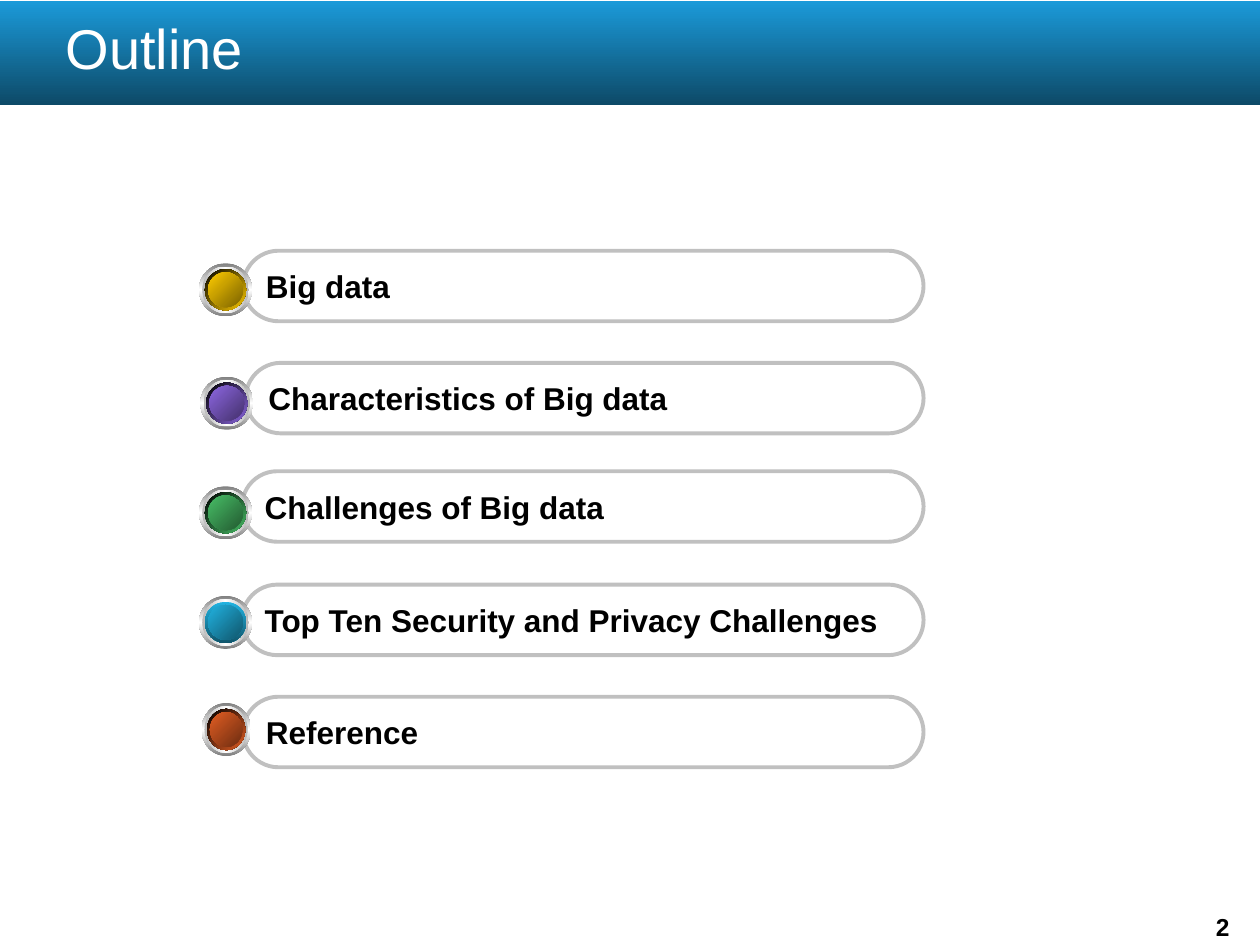
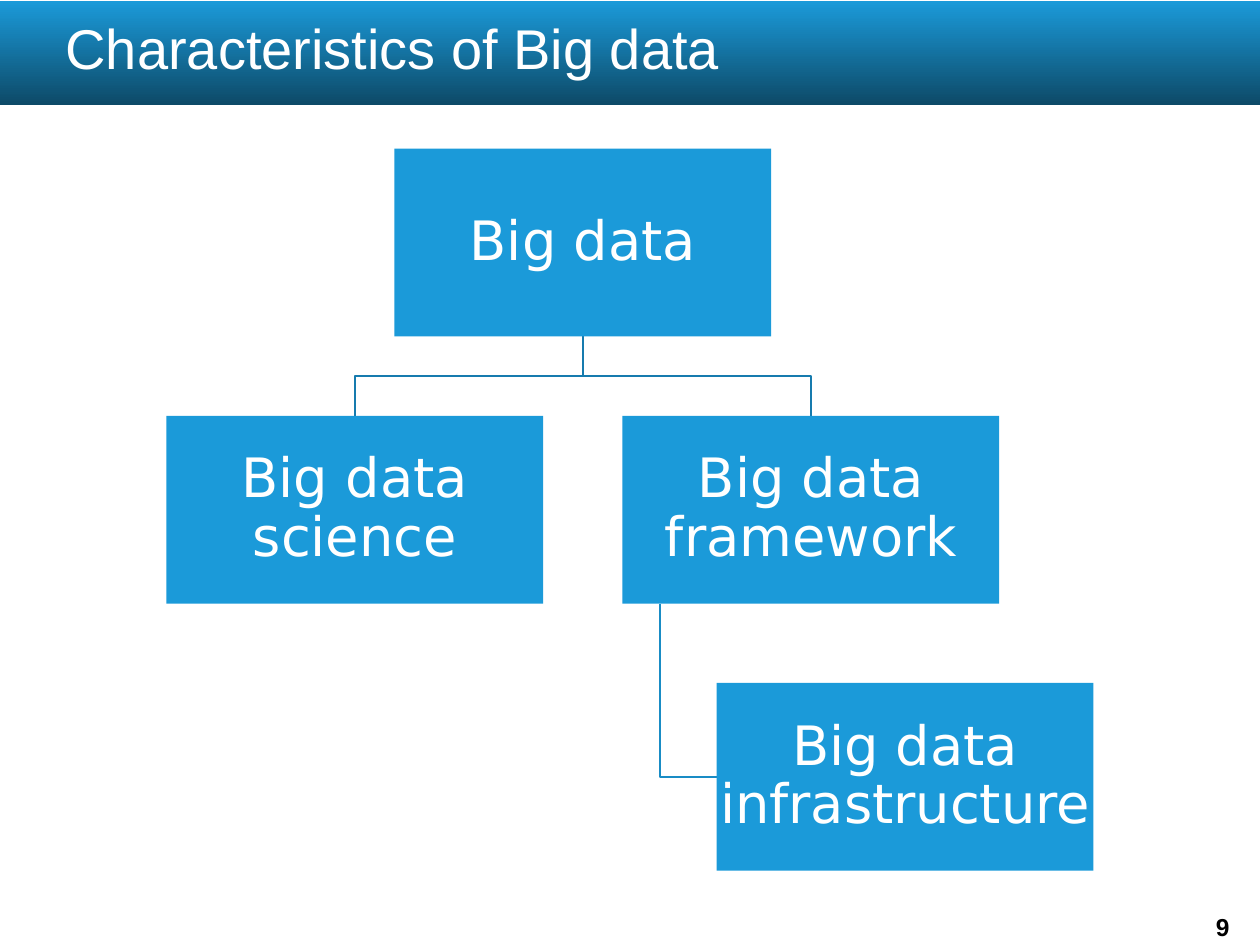
from dataclasses import dataclass

from lxml import etree
from pptx import Presentation
from pptx.dml.color import RGBColor
from pptx.enum.shapes import MSO_SHAPE as SHAPE
from pptx.enum.text import MSO_ANCHOR as ANCHOR, MSO_AUTO_SIZE as AUTO_SIZE, PP_ALIGN as ALIGN
from pptx.oxml.ns import qn
from pptx.util import Inches, Pt


@dataclass(frozen=True)
class Theme:
    blue: str = "1B9AD9"
    white: str = "FFFFFF"
    black: str = "000000"
    pill_line: str = "C0C0C0"
    rim: str = "808080"
    inner_rim: str = "B8B8B8"
    trunk: str = "167BAE"
    branch: str = "198CC5"
    font: str = "Arial"
    chart_font: str = "DejaVu Sans"
    title_size: int = 32
    chart_size: int = 31
    item_size: int = 18
    number_size: int = 14


THEME = Theme()

# text, pill left and top, button left, top and width, button colour, ring start
OUTLINE = [
    ("Big data", 1.93, 1.99, 1.58, 2.09, 0.42, "FFCC00", THEME.black),
    ("Characteristics of Big data", 1.95, 2.88, 1.59, 2.99, 0.42, "8D67E1", THEME.black),
    ("Challenges of Big data", 1.92, 3.74, 1.58, 3.86, 0.42, "48BE67", THEME.black),
    ("Top Ten Security and Privacy Challenges", 1.92, 4.64, 1.58, 4.73, 0.42, "21B3E1", None),
    ("Reference", 1.93, 5.53, 1.6, 5.58, 0.39, "E35E23", THEME.black),
]
PILL_RIGHT, PILL_HEIGHT, BUTTON_HEIGHT = 7.33, 0.56, 0.42


def rgb(color):
    return RGBColor.from_string(color)


def darken(color, share=0.48):
    return "".join(f"{round(int(color[i:i + 2], 16) * share):02X}" for i in (0, 2, 4))


def add_shape(shapes, kind, x, y, w, h):
    """Add a preset shape without fill, line or shadow."""
    sp = shapes.add_shape(kind, Inches(x), Inches(y), Inches(w), Inches(h))
    sp.shadow.inherit = False
    sp.fill.background()
    sp.line.fill.background()
    return sp


def fill_gradient(sp, colors, angle):
    """Spread the colours evenly along a clockwise angle in degrees."""
    sp.fill.gradient()
    grad = sp.element.spPr.find(qn("a:gradFill"))
    stops = grad.find(qn("a:gsLst"))
    for stop in list(stops):
        stops.remove(stop)
    for i, color in enumerate(colors):
        stop = etree.SubElement(stops, qn("a:gs"), pos=str(100000 * i // (len(colors) - 1)))
        etree.SubElement(stop, qn("a:srgbClr"), val=color)
    grad.find(qn("a:lin")).set("ang", str(angle * 60000))


def set_text(sp, text, size, color, font=THEME.font, bold=False, align=ALIGN.LEFT,
             anchor=ANCHOR.MIDDLE):
    tf = sp.text_frame
    tf.text = text
    tf.word_wrap = True
    tf.auto_size = AUTO_SIZE.NONE
    tf.vertical_anchor = anchor
    p = tf.paragraphs[0]
    p.alignment = align
    f = p.runs[0].font
    f.name, f.size, f.bold = font, Pt(size), bold
    f.color.rgb = rgb(color)
    return tf


def prepare_layout(layout):
    """Place the title and drop the date, footer and number placeholders."""
    for ph in list(layout.placeholders):
        if ph.placeholder_format.idx == 0:
            ph.left, ph.top = Inches(0.42), Inches(0.06)
            ph.width, ph.height = Inches(9), Inches(0.62)
        else:
            layout.shapes.element.remove(ph.element)


def move_band_to_layout(slide):
    band = add_shape(slide.shapes, SHAPE.RECTANGLE, 0, 0.01, 10, 0.82)
    fill_gradient(band, [THEME.blue, darken(THEME.blue)], 90)
    slide.slide_layout.shapes.element.insert(2, band.element)


def add_slide(prs, layout, title, number):
    slide = prs.slides.add_slide(layout)
    set_text(slide.shapes.title, title, THEME.title_size, THEME.white)
    box = slide.shapes.add_textbox(Inches(9.42), Inches(7.19), Inches(0.57), Inches(0.28))
    set_text(box, str(number), THEME.number_size, THEME.black, bold=True,
             align=ALIGN.CENTER, anchor=ANCHOR.TOP)
    return slide


def add_pill(slide, text, x, y):
    pill = add_shape(slide.shapes, SHAPE.ROUNDED_RECTANGLE, x, y, PILL_RIGHT - x, PILL_HEIGHT)
    pill.adjustments[0] = 0.5
    pill.line.color.rgb = rgb(THEME.pill_line)
    pill.line.width = Pt(2.25)
    set_text(pill, text, THEME.item_size, THEME.black, bold=True)


def add_button(slide, x, y, w, color, ring_start):
    """Stack ever smaller discs into a round, shiny button."""
    h = BUTTON_HEIGHT
    dark = darken(color)
    ring = ([ring_start, color], 45) if ring_start else ([color, dark], 90)
    discs = [
        (0, [THEME.rim, THEME.white, THEME.rim], 90),
        (0.06, [THEME.inner_rim, THEME.white, THEME.inner_rim], 0),
        (0.11, *ring),
        (0.17, [color, dark], 45),
    ]
    group = slide.shapes.add_group_shape()
    for inset, colors, angle in discs:
        dx, dy = inset * w, inset * h
        disc = add_shape(group.shapes, SHAPE.OVAL, x + dx, y + dy, w - 2 * dx, h - 2 * dy)
        fill_gradient(disc, colors, angle)


def fill_outline(slide):
    for text, pill_x, pill_y, *button in OUTLINE:
        add_pill(slide, text, pill_x, pill_y)
        add_button(slide, *button)


def add_elbow(slide, points, color):
    (x, y), *rest = [(Inches(px), Inches(py)) for px, py in points]
    builder = slide.shapes.build_freeform(x, y)
    builder.add_line_segments(rest, close=False)
    sp = builder.convert_to_shape()
    sp.shadow.inherit = False
    sp.fill.background()
    sp.line.color.rgb = rgb(color)
    sp.line.width = Pt(1)


def add_node(slide, text, x, y, w, h):
    node = add_shape(slide.shapes, SHAPE.RECTANGLE, x, y, w, h)
    node.fill.solid()
    node.fill.fore_color.rgb = rgb(THEME.blue)
    tf = set_text(node, text, THEME.chart_size, THEME.white, THEME.chart_font, align=ALIGN.CENTER)
    tf.margin_left = tf.margin_right = tf.margin_top = tf.margin_bottom = Inches(0.02)
    tf.paragraphs[0].line_spacing = 0.9


def fill_hierarchy(slide, x, y, w=2.99, h=1.49, gap=0.63):
    """Draw the tree from the left of its first child and the top of its root."""
    science_x, framework_x = x, x + w + gap
    root_x = (science_x + framework_x) / 2
    detail_x = framework_x + w / 4
    child_y, detail_y = y + h + gap, y + 2 * (h + gap)

    stem_x, detail_mid = framework_x + w / 10, detail_y + h / 2
    add_elbow(slide, [(stem_x, child_y + h), (stem_x, detail_mid), (detail_x, detail_mid)],
              THEME.branch)
    root_mid, fork_y = root_x + w / 2, y + h + gap / 2
    for child_x in (framework_x, science_x):
        child_mid = child_x + w / 2
        add_elbow(slide, [(root_mid, y + h), (root_mid, fork_y),
                          (child_mid, fork_y), (child_mid, child_y)], THEME.trunk)

    for text, node_x, node_y in [
        ("Big data", root_x, y),
        ("Big data science", science_x, child_y),
        ("Big data framework", framework_x, child_y),
        ("Big data infrastructure", detail_x, detail_y),
    ]:
        add_node(slide, text, node_x, node_y, w, h)


def main():
    prs = Presentation()
    prs.slide_width, prs.slide_height = Inches(10), Inches(7.5)
    layout = prs.slide_layouts.get_by_name("Title Only")
    prepare_layout(layout)

    outline = add_slide(prs, layout, "Outline", 2)
    move_band_to_layout(outline)
    fill_outline(outline)

    hierarchy = add_slide(prs, layout, "Characteristics of Big data", 9)
    fill_hierarchy(hierarchy, 1.32, 1.18)
    prs.save("out.pptx")


if __name__ == "__main__":
    main()
